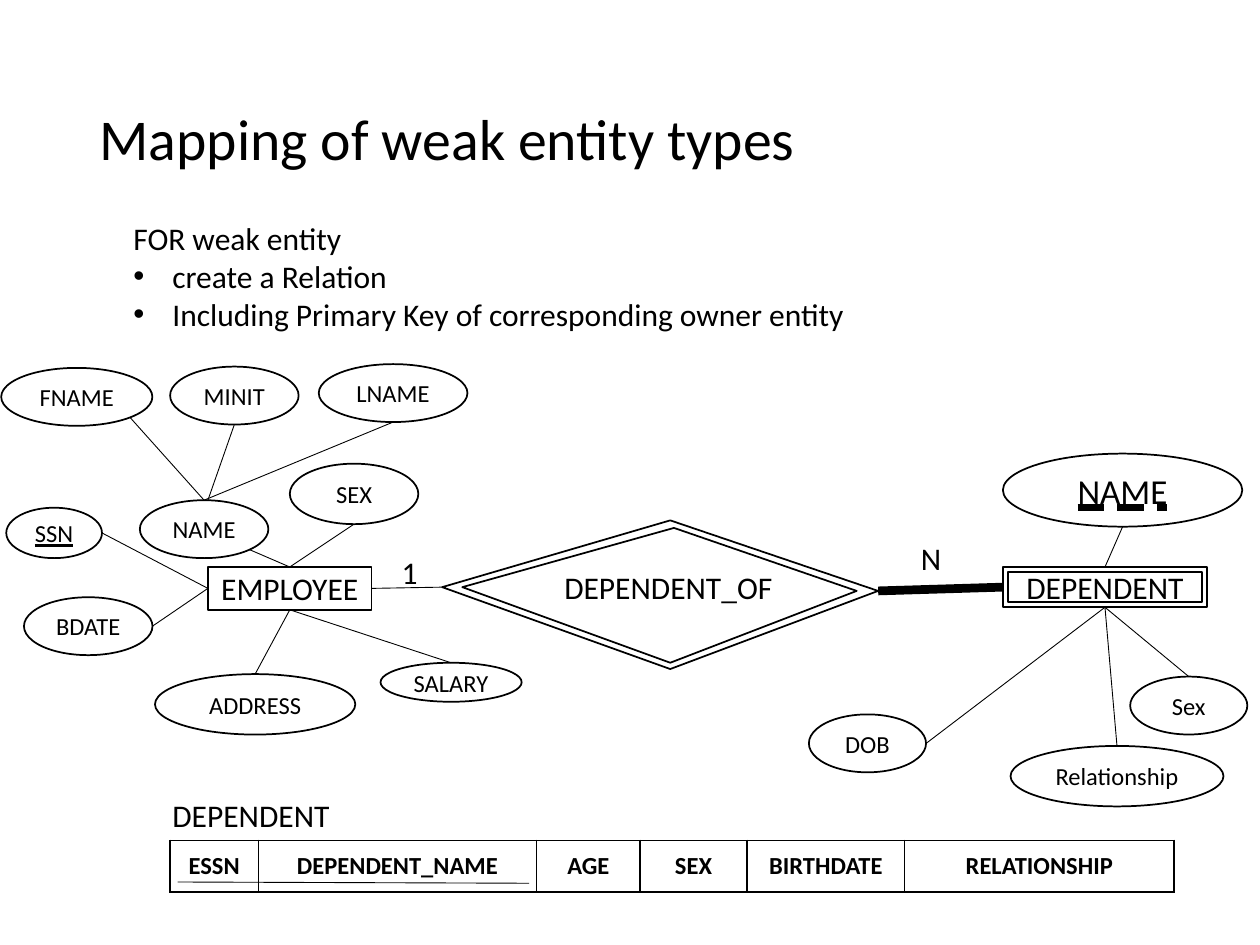
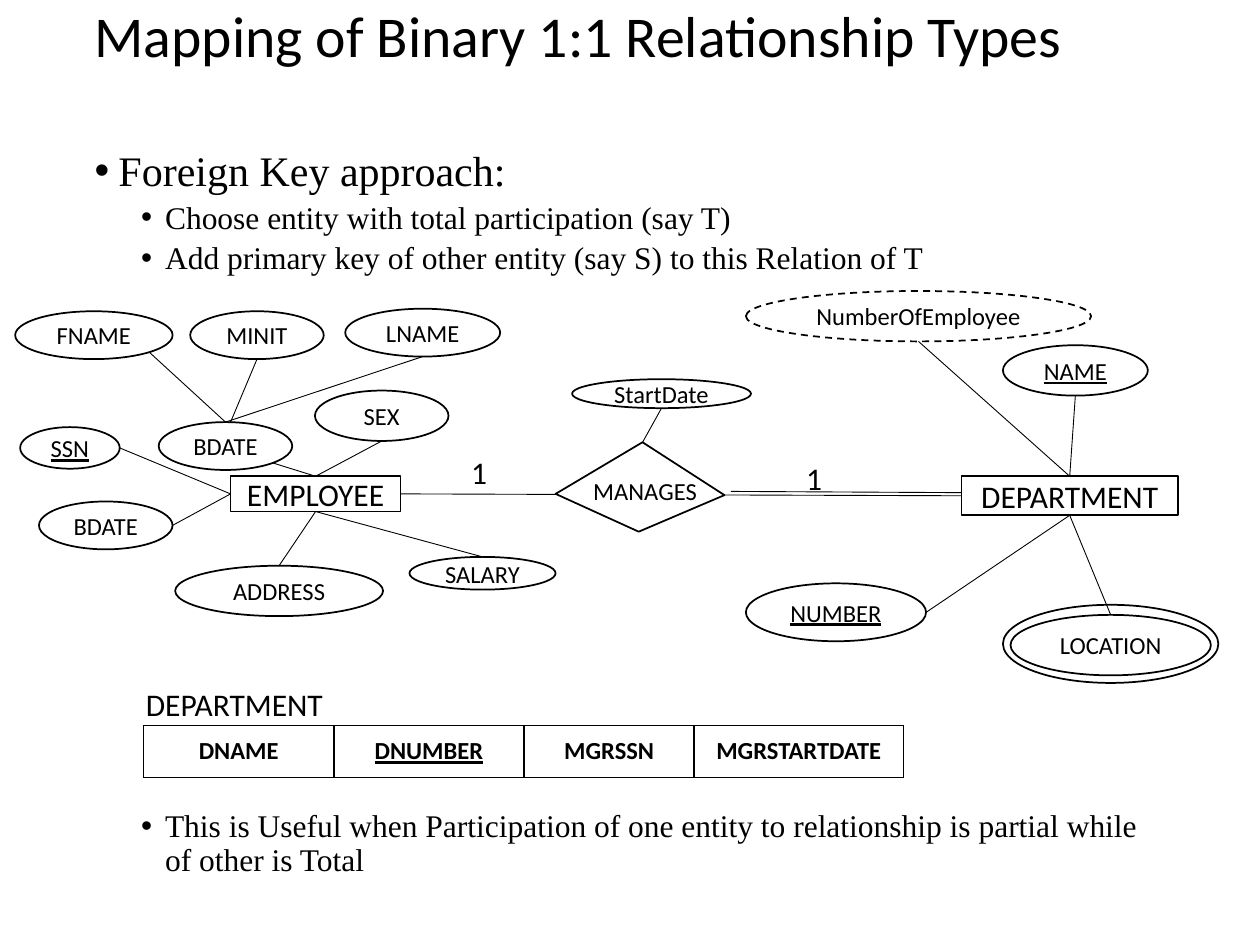
from dataclasses import dataclass

from lxml import etree
from pptx import Presentation, util as u
from pptx.dml.color import RGBColor
from pptx.enum import dml, shapes, text
from pptx.oxml import parse_xml
from pptx.oxml.ns import nsdecls, qn

PX = 9144  # 100 px to the inch
TOP, LEFT, BASE, RIGHT, CORNER = range(5)  # CORNER is an oval's lower right
PLACES = {TOP: (0.5, 0), LEFT: (0, 0.5), BASE: (0.5, 1),
          RIGHT: (1, 0.5), CORNER: (0.85, 0.85)}
OVAL, RECT, FRAME = (shapes.MSO_SHAPE.OVAL, shapes.MSO_SHAPE.RECTANGLE,
                     shapes.MSO_SHAPE.FRAME)


@dataclass(frozen=True)
class Theme:
    ink: RGBColor = RGBColor(0, 0, 0)
    paper: RGBColor = RGBColor(255, 255, 255)
    sans: str = "Calibri"
    serif: str = "Times New Roman"
    title: int = 33
    lead: int = 24
    text: int = 18
    label: int = 14
    key: int = 20
    thin: float = 0.5
    edge: float = 1
    thick: float = 5


def put(item, **values):
    for key, value in values.items():
        setattr(item, key, value)


def spot(shape, side):
    across, down = PLACES[side]
    return (round(shape.left + across * shape.width),
            round(shape.top + down * shape.height))


class Sketch:
    def __init__(self, deck, theme):
        self.deck, self.theme = deck, theme
        self.slide = None

    def page(self, layout, title, box):
        self.slide = self.deck.slides.add_slide(self.deck.slide_layouts[layout])
        holder = self.slide.shapes.title
        self.place(holder, box)
        self.frame(holder, vertical_anchor=text.MSO_ANCHOR.MIDDLE)
        self.letter(holder.text_frame.paragraphs[0], title, self.theme.title,
                    line_spacing=0.9, alignment=text.PP_ALIGN.LEFT)

    def place(self, shape, box):
        put(shape, **dict(zip(("left", "top", "width", "height"),
                              (n * PX for n in box))))

    def frame(self, shape, **values):
        put(shape.text_frame, **{"word_wrap": True,
                                 "auto_size": text.MSO_AUTO_SIZE.NONE, **values})

    def letter(self, par, words, size, face=None, bold=False, line=None, **values):
        put(par, **values)
        run = par.add_run()
        run.text = words
        put(run.font, name=face or self.theme.sans, size=u.Pt(size),
            bold=bold, underline=line)
        run.font.color.rgb = self.theme.ink

    def bullet(self, par, margin, hang):
        props = par._p.get_or_add_pPr()
        props.set("marL", str(margin * PX))
        props.set("indent", str(-hang * PX))
        etree.SubElement(props, qn("a:buFont")).set("typeface", "Arial")
        etree.SubElement(props, qn("a:buChar")).set("char", "•")

    def note(self, words, box, size=None):
        shape = self.slide.shapes.add_textbox(*(n * PX for n in box))
        self.frame(shape)
        self.letter(shape.text_frame.paragraphs[0], words, size or self.theme.text)
        return shape

    def outline(self, shape, fill=None):
        shape.shadow.inherit = False
        if fill:
            shape.fill.solid()
            shape.fill.fore_color.rgb = fill
        else:
            shape.fill.background()
        shape.line.color.rgb = self.theme.ink
        shape.line.width = u.Pt(self.theme.edge)

    def node(self, words, box, kind=OVAL, size=None, line=None, dash=None):
        shape = self.slide.shapes.add_shape(kind, *(n * PX for n in box))
        self.outline(shape)
        if dash:
            shape.line.dash_style = dash
        if words:
            self.frame(shape, word_wrap=False, margin_left=0, margin_right=0,
                       margin_top=0, margin_bottom=0,
                       vertical_anchor=text.MSO_ANCHOR.MIDDLE)
            self.letter(shape.text_frame.paragraphs[0], words,
                        size or self.theme.label, line=line,
                        alignment=text.PP_ALIGN.CENTER)
        return shape

    def entity(self, words, box, kind=RECT):
        return self.node(words, box, kind, self.theme.text)

    def wire(self, start, end, width=None):
        """Each end is a (shape, side) pair or an (x, y) point in px."""
        ends = [tuple(n * PX for n in e) if isinstance(e[0], int) else spot(*e)
                for e in (start, end)]
        line = self.slide.shapes.add_connector(
            shapes.MSO_CONNECTOR.STRAIGHT, *ends[0], *ends[1])
        for e, join in ((start, line.begin_connect), (end, line.end_connect)):
            if not isinstance(e[0], int) and e[0].auto_shape_type in (RECT, FRAME):
                join(*e)
        line.line.color.rgb = self.theme.ink
        line.line.width = u.Pt(width or self.theme.thin)
        etree.SubElement(line._element.spPr, qn("a:effectLst"))

    def diamond(self, *rings):
        pen = None
        for first, *rest in rings:
            if pen:
                pen.move_to(*first)
            else:
                pen = self.slide.shapes.build_freeform(*first, scale=PX)
            pen.add_line_segments(rest, close=True)
        self.outline(pen.convert_to_shape(), self.theme.paper)

    def grid(self, heads, widths, left, top, keys=()):
        high = 41
        table = self.slide.shapes.add_table(
            1, len(heads), left * PX, top * PX, sum(widths) * PX, high * PX).table
        put(table, first_row=False, horz_banding=False)
        table.rows[0].height = high * PX
        for col, (head, width) in enumerate(zip(heads, widths)):
            table.columns[col].width = width * PX
            cell = table.cell(0, col)
            for side in "LRTB":
                cell._tc.get_or_add_tcPr().append(parse_xml(
                    f'<a:ln{side} {nsdecls("a")} w="{int(u.Pt(self.theme.edge))}">'
                    f'<a:solidFill><a:srgbClr val="{self.theme.ink}"/></a:solidFill>'
                    f'</a:ln{side}>'))
            cell.fill.background()
            put(cell, vertical_anchor=text.MSO_ANCHOR.MIDDLE,
                margin_left=0, margin_right=0)
            self.letter(cell.text_frame.paragraphs[0], head, self.theme.label,
                        bold=True, line=head in keys or None,
                        alignment=text.PP_ALIGN.CENTER)


def staff(art, name, left=0, top=0, wide=1, tall=1):
    """Draw EMPLOYEE with its ovals, moved and stretched as one block."""
    def fit(x, y, w, h):
        return (round(left + wide * x), round(top + tall * y),
                round(wide * w), round(tall * h))

    box = art.entity("EMPLOYEE", fit(165, 450, 130, 34))
    group = art.node(name, fit(111, 397, 102, 46))
    art.wire((group, CORNER), (box, TOP))
    for words, area, side, goal in (
            ("SSN", (5, 403, 76, 40), RIGHT, LEFT),
            ("BDATE", (19, 474, 102, 46), RIGHT, LEFT),
            ("SEX", (230, 368, 102, 48), BASE, TOP),
            ("ADDRESS", (123, 535, 159, 48), TOP, BASE),
            ("SALARY", (302, 526, 112, 31), TOP, BASE)):
        oval = art.node(words, fit(*area), line=words == "SSN" or None)
        art.wire((oval, side), (box, goal))
    # parts of the composite name
    for words, area, side in (("LNAME", (253, 289, 118, 46), BASE),
                              ("MINIT", (135, 291, 102, 46), BASE),
                              ("FNAME", (1, 292, 120, 46), CORNER)):
        oval = art.node(words, fit(*area))
        end = fit(165, 397, 0, 0)[:2] if words == "MINIT" else (group, TOP)
        art.wire((oval, side), end)
    return box


def weak(art):
    theme = art.theme
    art.page(5, "Mapping of weak entity types", (69, 40, 862, 145))
    # steps
    steps = art.note("FOR weak entity", (96, 169, 599, 101)).text_frame
    for words in ("create a Relation",
                  "Including Primary Key of corresponding owner entity"):
        par = steps.add_paragraph()
        art.bullet(par, 31, 31)
        art.letter(par, words, theme.text)
    # relation
    art.note("DEPENDENT", (127, 627, 156, 40))
    art.grid(("ESSN", "DEPENDENT_NAME", "AGE", "SEX", "BIRTHDATE", "RELATIONSHIP"),
             (70, 221, 82, 85, 125, 214), 135, 667)
    art.wire((141, 700), (420, 701))
    # owner and weak entity
    owner = staff(art, "NAME")
    child = art.entity("DEPENDENT", (796, 450, 162, 32), FRAME)
    key = art.node("NAME", (796, 360, 190, 58), size=theme.key,
                   line=text.MSO_UNDERLINE.DASH_HEAVY_LINE)
    art.wire((key, BASE), (child, TOP))
    for words, area, side in (("DOB", (642, 567, 93, 46), RIGHT),
                              ("Relationship", (802, 592, 169, 48), TOP),
                              ("Sex", (897, 537, 93, 46), TOP)):
        art.wire((art.node(words, area), side), (child, BASE))
    # relationship
    art.wire((owner, RIGHT), (351, 466))
    art.diamond(((532, 413), (697, 469), (532, 531), (351, 466)),
                ((535, 419), (367, 466), (532, 526), (680, 469)))
    art.note("DEPENDENT_OF", (438, 446, 201, 40))
    art.wire((697, 469), (child, LEFT), theme.thick)
    art.note("N", (721, 423, 52, 40))
    art.note("1", (309, 434, 40, 40))


def binary(art):
    theme = art.theme
    art.page(1, "Mapping of Binary 1:1 Relationship Types", (65, -42, 862, 145))
    # approach
    body = art.slide.placeholders[1]
    art.place(body, (65, 114, 862, 605))
    art.frame(body)
    for row, (words, level, gap) in enumerate((
            ("Foreign Key approach:", 0, 0),
            ("Choose entity with total participation (say T)", 1, 3.8),
            ("Add primary key of other entity (say S) to this Relation of T", 1, 3.8),
            ("This is Useful when Participation of one entity to relationship "
             "is partial while of other is Total", 1, 305))):
        frame = body.text_frame
        par = frame.add_paragraph() if row else frame.paragraphs[0]
        art.bullet(par, (19, 56)[level], 19)
        art.letter(par, words, (theme.lead, theme.text)[level], theme.serif,
                   level=level, line_spacing=0.9, space_before=u.Pt(gap))
    # relation
    art.grid(("DNAME", "DNUMBER", "MGRSSN", "MGRSTARTDATE"),
             (151, 151, 135, 166), 114, 576, keys=("DNUMBER",))
    art.note("DEPARTMENT", (106, 539, 193, 40))
    # entities
    worker = staff(art, "BDATE", 11, 5, 1.04, 0.83)
    unit = art.entity("DEPARTMENT", (763, 378, 172, 31))
    art.node("", (796, 480, 171, 62))
    for words, area, side, goal, line, dash in (
            ("NAME", (796, 274, 115, 40), BASE, TOP, True, None),
            ("NUMBER", (592, 463, 143, 46), RIGHT, BASE, True, None),
            ("LOCATION", (802, 488, 159, 48), TOP, BASE, None, None),
            ("NumberOfEmployee", (592, 231, 274, 40), BASE, TOP, None,
             dml.MSO_LINE.DASH)):
        oval = art.node(words, area, line=line, dash=dash)
        art.wire((oval, side), (unit, goal))
    # relationship
    art.wire((worker, RIGHT), (unit, LEFT))
    art.wire((580, 390), (763, 391))
    art.diamond(((441, 392), (510, 351), (575, 393), (507, 422)))
    art.note("MANAGES", (461, 373, 119, 34), theme.label)
    start = art.node("StartDate", (454, 301, 142, 23))
    art.wire((start, BASE), (510, 351))
    art.note("1", (364, 355, 64, 40))
    art.note("1", (630, 359, 71, 40))


def main():
    deck = Presentation()
    put(deck, slide_width=1000 * PX, slide_height=750 * PX)
    art = Sketch(deck, Theme())
    weak(art)
    binary(art)
    deck.save("out.pptx")


if __name__ == "__main__":
    main()
